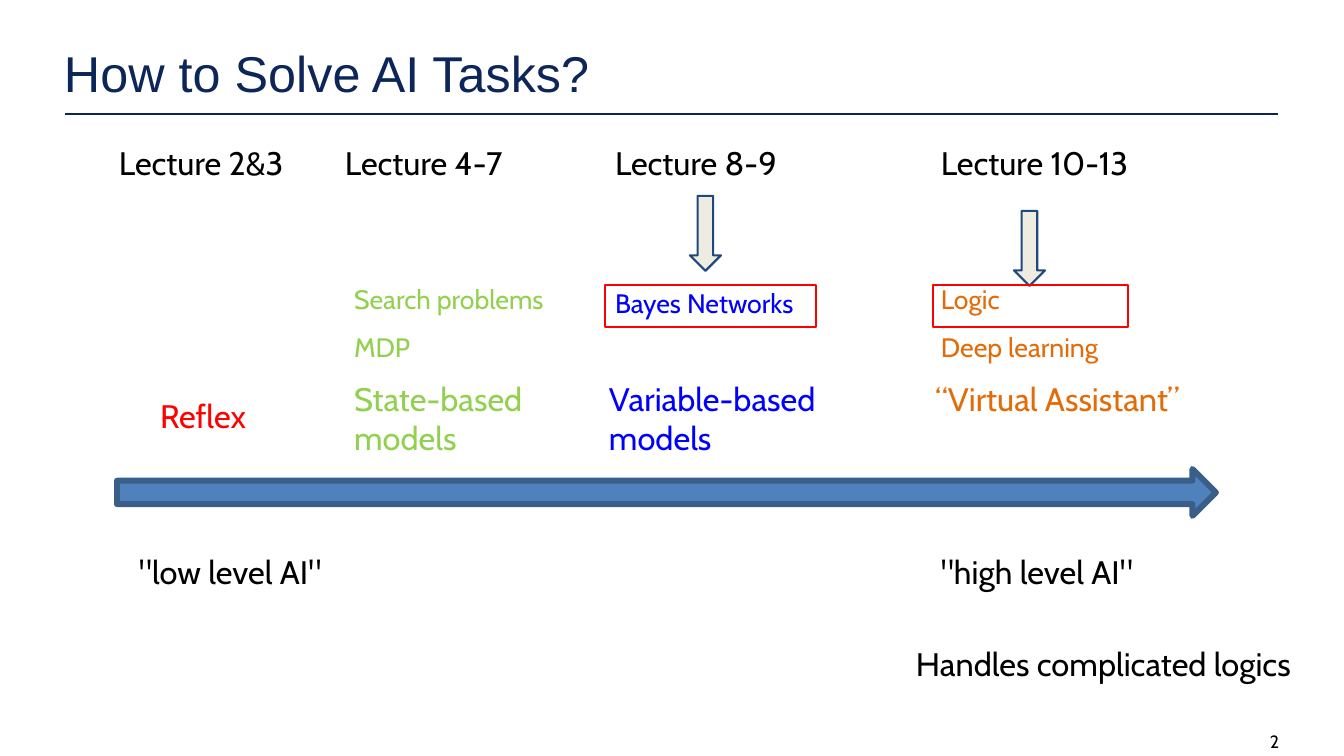
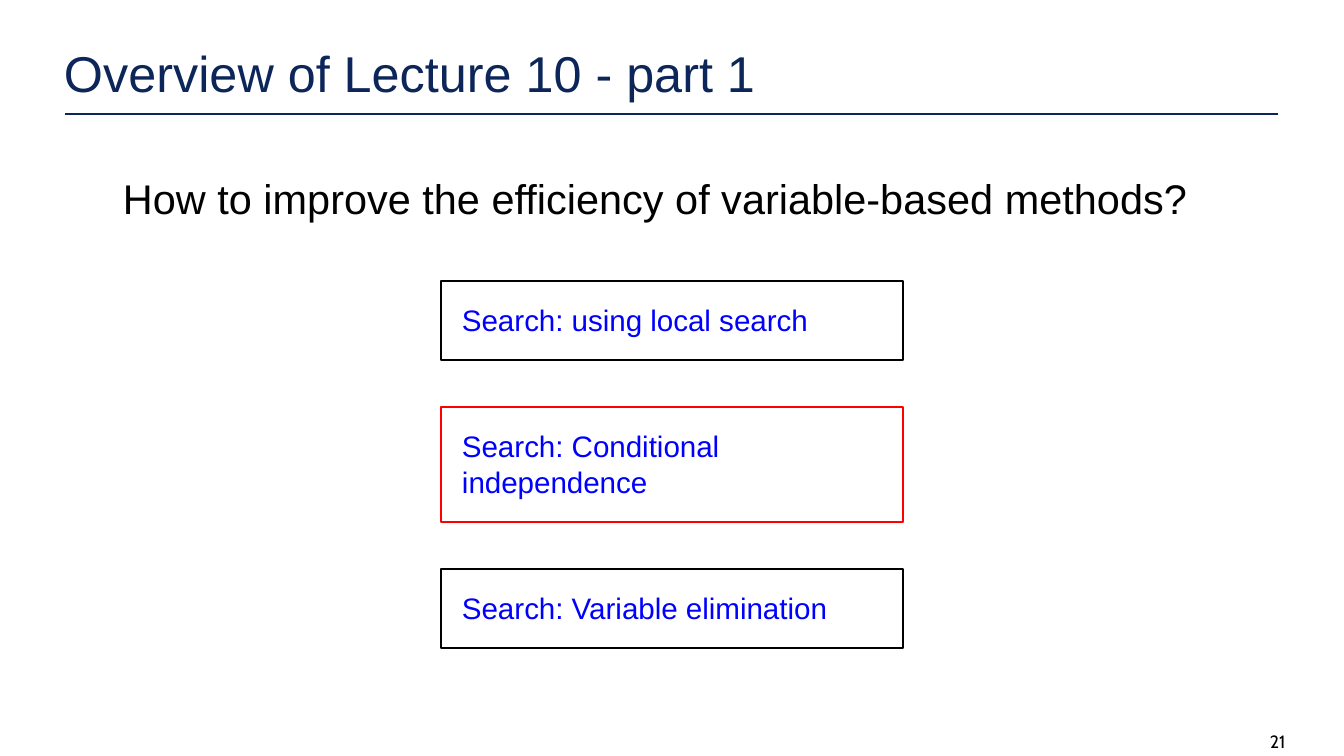
from pptx import Presentation, util as u
from pptx.dml.color import RGBColor
from pptx.enum import shapes, text
from pptx.oxml.ns import qn
from lxml import etree

PX = 914400 / 213
COLORS = {
    "navy": "0C2659", "black": "000000", "red": "FF0000", "blue": "0000FF",
    "green": "92D050", "orange": "E36C09", "arrow": "4F81BD",
    "arrow_edge": "395E89", "cream": "EEECE1", "cream_edge": "1F497D",
}
INSET = (2, 2, 0, 0)


def px(n):
    return u.Emu(round(n * PX))


def rgb(name):
    return RGBColor.from_string(COLORS[name])


def write(s, words, size, color, font="Cabin", inset=INSET, spacing=None):
    """Put one left-aligned paragraph into a shape."""
    tf = s.text_frame
    tf.word_wrap = True
    tf.vertical_anchor = text.MSO_ANCHOR.TOP
    tf.margin_left, tf.margin_top, tf.margin_right, tf.margin_bottom = map(px, inset)
    p = tf.paragraphs[0]
    p.alignment = text.PP_ALIGN.LEFT
    if spacing:
        p.line_spacing = spacing
    r = p.add_run()
    r.text = words
    r.font.name, r.font.size = font, u.Pt(size)
    r.font.color.rgb = rgb(color)


def add_label(slide, box, words, size, color, **style):
    s = slide.shapes.add_textbox(*map(px, box))
    write(s, words, size, color, **style)


def add_block(slide, kind, box, edge, fill=None, weight=0.75):
    s = slide.shapes.add_shape(kind, *map(px, box))
    s.shadow.inherit = False
    if fill:
        s.fill.solid()
        s.fill.fore_color.rgb = rgb(fill)
    else:
        s.fill.background()
    s.line.color.rgb = rgb(edge)
    s.line.width = u.Pt(weight)
    return s


def add_frame(prs, title, number):
    """Add a slide with the shared title, rule and page number."""
    slide = prs.slides.add_slide(prs.slide_layouts[6])
    add_label(slide, (62, 38, 897, 64), title, 17, "navy",
              font="Arial", inset=(2, 4, 0, 0))
    rule = slide.shapes.add_connector(
        shapes.MSO_CONNECTOR.STRAIGHT, px(65), px(114), px(1278), px(114))
    rule.line.color.rgb = rgb("navy")
    rule.line.width = u.Pt(0.75)
    etree.SubElement(rule._element.spPr, qn("a:effectLst"))
    add_label(slide, (1261, 728, 66, 21), number, 6, "black",
              inset=(9, 0, 0, 0), spacing=1.12)
    return slide


def add_lectures(slide, x, y):
    """Row of lecture headings, with a down arrow under the last two."""
    for dx, words in ((0, "2&3"), (226, "4-7"), (496, "8-9"), (822, "10-13")):
        add_label(slide, (x + dx, y, 226, 43), f"Lecture {words}", 11, "black")
    for dx, dy in ((573, 55), (897, 70)):
        add_block(slide, shapes.MSO_SHAPE.DOWN_ARROW,
                  (x + dx, y + dy, 31, 75), "cream_edge", "cream")


def add_models(slide, x, y):
    """Methods above the model families, with the current topics boxed."""
    methods = (
        (235, 0, "Search problems", "green"), (235, 48, "MDP", "green"),
        (496, 4, "Bayes Networks", "blue"),
        (822, 0, "Logic", "orange"), (822, 48, "Deep learning", "orange"),
    )
    families = (
        (41, 113, 143, "Reflex", "red"),
        (235, 96, 275, "State-based models", "green"),
        (490, 96, 275, "Variable-based models", "blue"),
        (816, 96, 275, "“Virtual Assistant”", "orange"),
    )
    for dx, dy, words, color in methods:
        add_label(slide, (x + dx, y + dy, 275, 34), words, 9, color)
    for dx, dy, w, words, color in families:
        add_label(slide, (x + dx, y + dy, w, 43), words, 11, color)
    for dx, w in ((488, 211), (816, 195)):
        add_block(slide, shapes.MSO_SHAPE.RECTANGLE, (x + dx, y + 4, w, 42), "red")


def add_scale(slide, x, y):
    """Long arrow from low to high level, with its captions below."""
    add_block(slide, shapes.MSO_SHAPE.RIGHT_ARROW, (x, y, 1099, 47),
              "arrow_edge", "arrow", 2)
    for dx, dy, w, words in ((20, 81, 264, '"low level AI"'),
                             (822, 81, 264, '"high level AI"'),
                             (797, 173, 426, "Handles complicated logics")):
        add_label(slide, (x + dx, y + dy, w, 43), words, 11, "black")


def add_topics(slide, x, y, w, gap):
    """Stack of outlined topics with equal gaps."""
    for words, h, edge in (("Search: using local search", 79, "black"),
                           ("Search: Conditional independence", 115, "red"),
                           ("Search: Variable elimination", 79, "black")):
        s = add_block(slide, shapes.MSO_SHAPE.RECTANGLE, (x, y, w, h), edge)
        write(s, words, 10, "blue", font="Arial", inset=(21,) * 4)
        y += h + gap


def build_tasks(prs):
    slide = add_frame(prs, "How to Solve AI Tasks?", "2")
    add_scale(slide, 117, 469)
    add_lectures(slide, 117, 141)
    add_models(slide, 117, 281)


def build_overview(prs):
    slide = add_frame(prs, "Overview of Lecture 10 - part 1", "21")
    add_label(slide, (102, 152, 1137, 94),
              "How to improve the efficiency of variable-based methods?",
              14, "black", font="Arial", inset=(21,) * 4)
    add_topics(slide, 441, 281, 462, 47)


def main():
    prs = Presentation()
    prs.slide_width, prs.slide_height = px(1344), px(756)
    build_tasks(prs)
    build_overview(prs)
    prs.save("out.pptx")


if __name__ == "__main__":
    main()
